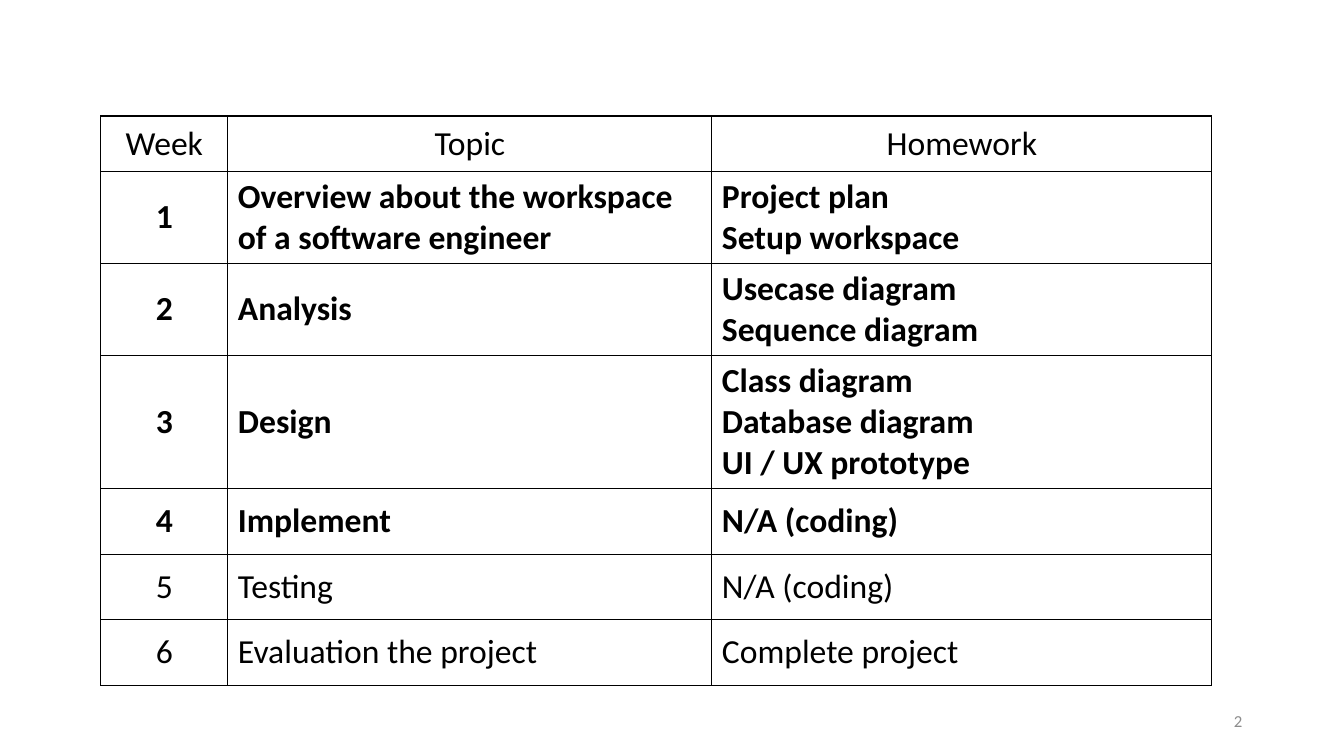
from lxml import etree
from pptx import Presentation
from pptx.dml.color import RGBColor
from pptx.enum.text import MSO_ANCHOR, PP_ALIGN
from pptx.oxml.ns import qn
from pptx.util import Inches, Pt

LEFT, CENTER, RIGHT = PP_ALIGN.LEFT, PP_ALIGN.CENTER, PP_ALIGN.RIGHT
MIDDLE = MSO_ANCHOR.MIDDLE

BLACK, GRAY = "000000", "8C8C8C"
COL_WIDTHS = [1.26, 4.8, 4.96]
ROW_HEIGHTS = [0.55, 0.71] + [0.65] * 5
HEADER = ("Week", "Topic", "Homework")
# Topic, homework lines, bold
WEEKS = [
    ("Overview about the workspace of a software engineer",
     ["Project plan", "Setup workspace"], True),
    ("Analysis", ["Usecase diagram", "Sequence diagram"], True),
    ("Design", ["Class diagram", "Database diagram", "UI / UX prototype"], True),
    ("Implement", ["N/A (coding)"], True),
    ("Testing", ["N/A (coding)"], False),
    ("Evaluation the project", ["Complete project"], False),
]


def rgb(color):
    return RGBColor.from_string(color)


def write(tf, lines, size, color, align, bold=False):
    """Put each line in its own paragraph of the text frame."""
    tf.word_wrap = True
    font = {"name": "Calibri", "size": Pt(size), "bold": bold}
    for i, line in enumerate(lines):
        p = tf.paragraphs[0] if i == 0 else tf.add_paragraph()
        p.alignment = align
        r = p.add_run()
        r.text = line
        for key, value in font.items():
            setattr(r.font, key, value)
        r.font.color.rgb = rgb(color)


def add_borders(cell, color, width):
    tcPr = cell._tc.get_or_add_tcPr()
    for side in ("lnL", "lnR", "lnT", "lnB"):
        ln = etree.SubElement(tcPr, qn(f"a:{side}"), w=str(Pt(width)))
        fill = etree.SubElement(ln, qn("a:solidFill"))
        etree.SubElement(fill, qn("a:srgbClr"), val=color)


def fill_cell(cell, lines, align, bold):
    add_borders(cell, BLACK, 1)
    cell.fill.background()
    cell.vertical_anchor = MIDDLE
    write(cell.text_frame, lines, 24, BLACK, align, bold)


def add_schedule(s, x, y, w, h):
    table = s.shapes.add_table(len(ROW_HEIGHTS), len(COL_WIDTHS), Inches(x),
                               Inches(y), Inches(w), Inches(h)).table
    table.first_row = table.horz_banding = False
    for column, width in zip(table.columns, COL_WIDTHS):
        column.width = Inches(width)
    for row, height in zip(table.rows, ROW_HEIGHTS):
        row.height = Inches(height)

    for c, title in enumerate(HEADER):
        fill_cell(table.cell(0, c), [title], CENTER, False)
    for week, (topic, homework, bold) in enumerate(WEEKS, 1):
        fill_cell(table.cell(week, 0), [str(week)], CENTER, bold)
        fill_cell(table.cell(week, 1), [topic], LEFT, bold)
        fill_cell(table.cell(week, 2), homework, LEFT, bold)


def add_page_number(s, number, x, y, w, h):
    tf = s.shapes.add_textbox(Inches(x), Inches(y), Inches(w), Inches(h)).text_frame
    tf.vertical_anchor = MIDDLE
    write(tf, [str(number)], 12, GRAY, RIGHT)


def main():
    prs = Presentation()
    prs.slide_width, prs.slide_height = Inches(13.33), Inches(7.5)
    s = prs.slides.add_slide(prs.slide_layouts[6])
    add_schedule(s, 1, 1.15, sum(COL_WIDTHS), sum(ROW_HEIGHTS))
    add_page_number(s, 2, 9.42, 6.95, 3, 0.4)
    prs.save("out.pptx")


if __name__ == "__main__":
    main()
